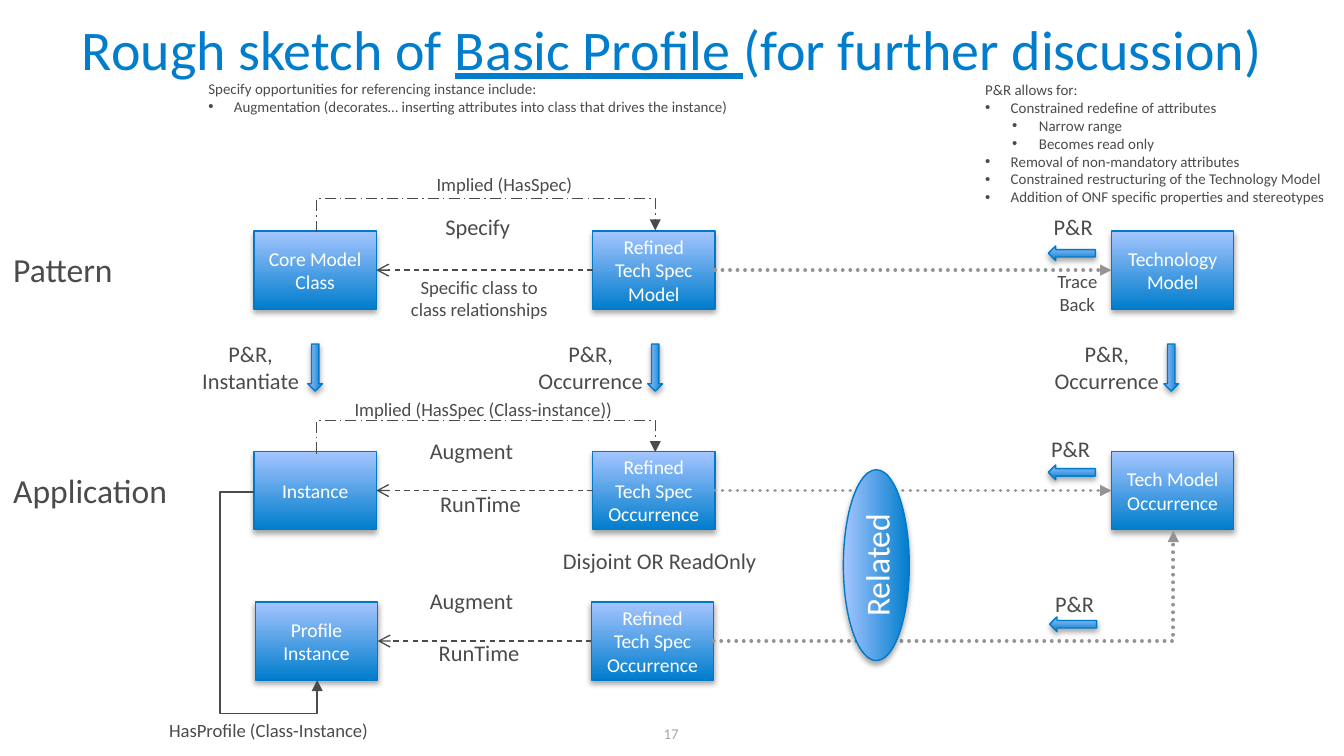
"""Build the Basic Profile sketch slide: pattern and application rows with their relations."""
from lxml.etree import SubElement
from pptx import Presentation
from pptx.dml.color import RGBColor
from pptx.enum.dml import MSO_LINE
from pptx.enum.shapes import MSO_CONNECTOR, MSO_SHAPE
from pptx.enum.text import MSO_ANCHOR, MSO_AUTO_SIZE, PP_ALIGN
from pptx.oxml.ns import qn
from pptx.util import Inches, Pt

COLORS = {
    "title": "007DCC", "text": "4B4B4B", "number": "A6A6A6", "white": "FFFFFF",
    "dark": "007DCC", "light": "A5C5FF", "outline": "007AC8", "trace": "939393",
    "shadow": "000000",
}
BOX_WIDTH, BOX_HEIGHT = 0.91, 0.58


def format_text(text_frame, size, color, alignment):
    for paragraph in text_frame.paragraphs:
        paragraph.alignment = alignment
        for run in paragraph.runs:
            run.font.name = "Calibri"
            run.font.size = Pt(size)
            run.font.color.rgb = RGBColor.from_string(COLORS[color])


def add_glossy_shape(kind, left, top, width, height, rotation=0, text="", size=10.5):
    shape = slide.shapes.add_shape(kind, Inches(left), Inches(top), Inches(width), Inches(height))
    shape.rotation = rotation
    shape.fill.gradient()
    shape.fill.gradient_angle = 90
    for stop, color in zip(shape.fill.gradient_stops, ("dark", "light")):
        stop.color.rgb = RGBColor.from_string(COLORS[color])
    shape.line.color.rgb = RGBColor.from_string(COLORS["outline"])
    shape.line.width = Pt(0.75)
    shape.shadow.inherit = False
    effects = shape.element.spPr.find(qn("a:effectLst"))
    shadow = SubElement(effects, qn("a:outerShdw"), blurRad=str(Pt(3.1)), dist=str(Pt(1.8)),
                        dir="5400000", rotWithShape="0")
    shadow_color = SubElement(shadow, qn("a:srgbClr"), val=COLORS["shadow"])
    SubElement(shadow_color, qn("a:alpha"), val="35000")
    if text:
        shape.text_frame.text = text
        shape.text_frame.vertical_anchor = MSO_ANCHOR.MIDDLE
        format_text(shape.text_frame, size, "white", PP_ALIGN.CENTER)
    return shape


presentation = Presentation()
presentation.slide_width = Inches(10)
presentation.slide_height = Inches(10) * 9 // 16
slide = presentation.slides.add_slide(presentation.slide_layouts[3])

title = slide.shapes.title
title.left, title.top, title.width, title.height = Inches(0.5), Inches(0.08), Inches(9), Inches(0.58)
paragraph = title.text_frame.paragraphs[0]
paragraph.line_spacing = Pt(34)
for text, underline in (("Rough sketch of ", False), ("Basic Profile ", True),
                        ("(for further discussion)", False)):
    run = paragraph.add_run()
    run.text = text
    run.font.underline = underline
format_text(title.text_frame, 30, "title", PP_ALIGN.CENTER)
title.text_frame.auto_size = MSO_AUTO_SIZE.NONE

lists = [
    (1, 1.45, 0.54, 4.61, 0.37, [
        ("Specify opportunities for referencing instance include:", None),
        ("Augmentation (decorates… inserting attributes into class that drives the instance)", 0),
    ]),
    (2, 7.23, 0.55, 2.77, 1.18, [
        ("P&R allows for:", None),
        ("Constrained redefine of attributes", 0),
        ("Narrow range", 1),
        ("Becomes read only", 1),
        ("Removal of non-mandatory attributes", 0),
        ("Constrained restructuring of the Technology Model", 0),
        ("Addition of ONF specific properties and stereotypes", 0),
    ]),
]
for index, left, top, width, height, items in lists:
    body = slide.placeholders[index]
    body.left, body.top, body.width, body.height = (
        Inches(left), Inches(top), Inches(width), Inches(height))
    body.text_frame.text = "\n".join(text for text, level in items)
    body.text_frame.auto_size = MSO_AUTO_SIZE.NONE
    for paragraph, (text, level) in zip(body.text_frame.paragraphs, items):
        paragraph.level = level or 0
        paragraph.space_before = Pt(0)
        margin, indent = {None: (0, 0), 0: (0.19, -0.19), 1: (0.4, -0.2)}[level]
        properties = paragraph._p.get_or_add_pPr()
        properties.set("marL", str(Inches(margin)))
        properties.set("indent", str(Inches(indent)))
        if level is None:
            SubElement(properties, qn("a:buNone"))
        else:
            SubElement(properties, qn("a:buFont"), typeface="Arial")
            SubElement(properties, qn("a:buChar"), char="•")
    format_text(body.text_frame, 8, "text", PP_ALIGN.LEFT)

boxes = {}
for name, left, top, text in (
    ("core class", 1.89, 1.72, "Core Model\nClass"),
    ("spec model", 4.41, 1.72, "Refined Tech Spec Model"),
    ("technology", 8.27, 1.72, "Technology\vModel"),
    ("instance", 1.89, 3.36, "Instance"),
    ("spec occurrence", 4.41, 3.36, "Refined Tech Spec Occurrence"),
    ("tech occurrence", 8.27, 3.36, "Tech Model Occurrence"),
    ("profile", 1.9, 4.48, "Profile Instance"),
    ("profile spec", 4.4, 4.48, "Refined Tech Spec Occurrence"),
):
    boxes[name] = add_glossy_shape(MSO_SHAPE.RECTANGLE, left, top, BOX_WIDTH, BOX_HEIGHT, text=text)

for left, top, rotation in (
    (7.8, 1.83, 0), (7.8, 3.46, 0), (7.81, 4.59, 0),
    (2.17, 2.68, 270), (4.7, 2.68, 270), (8.54, 2.68, 270),
):
    add_glossy_shape(MSO_SHAPE.LEFT_ARROW, left, top, 0.35, 0.11, rotation)

relation_style = ("text", 0.75, MSO_LINE.DASH, "arrow")
trace_style = ("trace", 2, MSO_LINE.ROUND_DOT, "triangle")
implied_style = ("text", 0.75, MSO_LINE.LONG_DASH_DOT, "triangle")
profile_style = ("text", 0.75, MSO_LINE.SOLID, "triangle")
connectors = []
for start, start_site, end, end_site, style in (
    ("spec model", 1, "core class", 3, relation_style),
    ("spec occurrence", 1, "instance", 3, relation_style),
    ("profile spec", 1, "profile", 3, relation_style),
    ("spec model", 3, "technology", 1, trace_style),
    ("spec occurrence", 3, "tech occurrence", 1, trace_style),
):
    connector = slide.shapes.add_connector(MSO_CONNECTOR.STRAIGHT, 0, 0, 0, 0)
    connector.begin_connect(boxes[start], start_site)
    connector.end_connect(boxes[end], end_site)
    connectors.append((connector, style))

for points, preset, rotation, adjustments, style in (
    ((3.62, 2.98, 3.61, 0.46), "bentConnector3", 90, (2500000,), implied_style),
    ((3.62, 4.63, 3.61, 2.11), "bentConnector3", 90, (2500000,), implied_style),
    ((1.89, 3.66, 2.36, 5.06), "bentConnector4", 0, (-54100, 117800), profile_style),
    ((5.31, 4.77, 8.73, 3.95), "bentConnector2", 0, (), trace_style),
):
    connector = slide.shapes.add_connector(MSO_CONNECTOR.ELBOW, *map(Inches, points))
    properties = connector.element.spPr
    properties.find(qn("a:xfrm")).set("rot", str(rotation * 60000))
    geometry = properties.find(qn("a:prstGeom"))
    geometry.set("prst", preset)
    for number, value in enumerate(adjustments, 1):
        SubElement(geometry.find(qn("a:avLst")), qn("a:gd"), name=f"adj{number}", fmla=f"val {value}")
    connectors.append((connector, style))

for connector, (color, width, dash, head) in connectors:
    connector.line.color.rgb = RGBColor.from_string(COLORS[color])
    connector.line.width = Pt(width)
    connector.line.dash_style = dash
    outline = connector.get_or_add_ln()
    outline.set("cap", "rnd" if dash == MSO_LINE.ROUND_DOT else "flat")
    SubElement(outline, qn("a:tailEnd"), type=head)
    SubElement(connector.element.spPr, qn("a:effectLst"))

for text, left, top, width, height, size, alignment, wrap in (
    ("Pattern", 0, 1.8, 0.95, 0.4, 18, PP_ALIGN.LEFT, False),
    ("Application", 0, 3.45, 1.36, 0.4, 18, PP_ALIGN.LEFT, False),
    ("Implied (HasSpec)", 3.15, 1.24, 1.22, 0.27, 10, PP_ALIGN.LEFT, False),
    ("Implied (HasSpec (Class-instance))", 2.54, 2.91, 2.14, 0.27, 10, PP_ALIGN.LEFT, False),
    ("HasProfile (Class-Instance)", 1.16, 5.3, 1.7, 0.27, 10, PP_ALIGN.LEFT, False),
    ("Specific class to class relationships", 2.92, 2, 1.29, 0.44, 10, PP_ALIGN.CENTER, True),
    ("Trace\nBack", 7.74, 1.96, 0.55, 0.44, 10, PP_ALIGN.CENTER, True),
    ("Specify", 3.21, 1.54, 0.69, 0.3, 12, PP_ALIGN.CENTER, False),
    ("Augment", 3.1, 3.2, 0.83, 0.3, 12, PP_ALIGN.LEFT, False),
    ("Augment", 3.1, 4.32, 0.83, 0.3, 12, PP_ALIGN.LEFT, False),
    ("RunTime", 3.17, 3.6, 0.81, 0.3, 12, PP_ALIGN.CENTER, False),
    ("RunTime", 3.16, 4.71, 0.81, 0.3, 12, PP_ALIGN.CENTER, False),
    ("Disjoint OR ReadOnly", 4.09, 4.02, 1.66, 0.3, 12, PP_ALIGN.LEFT, False),
    ("P&R", 7.74, 1.54, 0.49, 0.3, 12, PP_ALIGN.CENTER, False),
    ("P&R", 7.72, 3.19, 0.49, 0.3, 12, PP_ALIGN.CENTER, False),
    ("P&R", 7.75, 4.34, 0.49, 0.3, 12, PP_ALIGN.CENTER, False),
    ("P&R,\nInstantiate", 1.4, 2.48, 0.93, 0.5, 12, PP_ALIGN.CENTER, False),
    ("P&R,\nOccurrence", 3.9, 2.48, 0.99, 0.5, 12, PP_ALIGN.CENTER, False),
    ("P&R,\nOccurrence", 7.74, 2.48, 0.99, 0.5, 12, PP_ALIGN.CENTER, False),
    ("17", 3.83, 5.31, 2.33, 0.3, 8, PP_ALIGN.CENTER, True),
):
    label = slide.shapes.add_textbox(Inches(left), Inches(top), Inches(width), Inches(height))
    label.text_frame.text = text
    label.text_frame.word_wrap = wrap
    label.text_frame.vertical_anchor = MSO_ANCHOR.MIDDLE if text == "17" else MSO_ANCHOR.TOP
    format_text(label.text_frame, size, "number" if text == "17" else "text", alignment)

add_glossy_shape(MSO_SHAPE.OVAL, 5.81, 3.96, 1.42, 0.49, 270, "Related", 18)

presentation.save("out.pptx")
